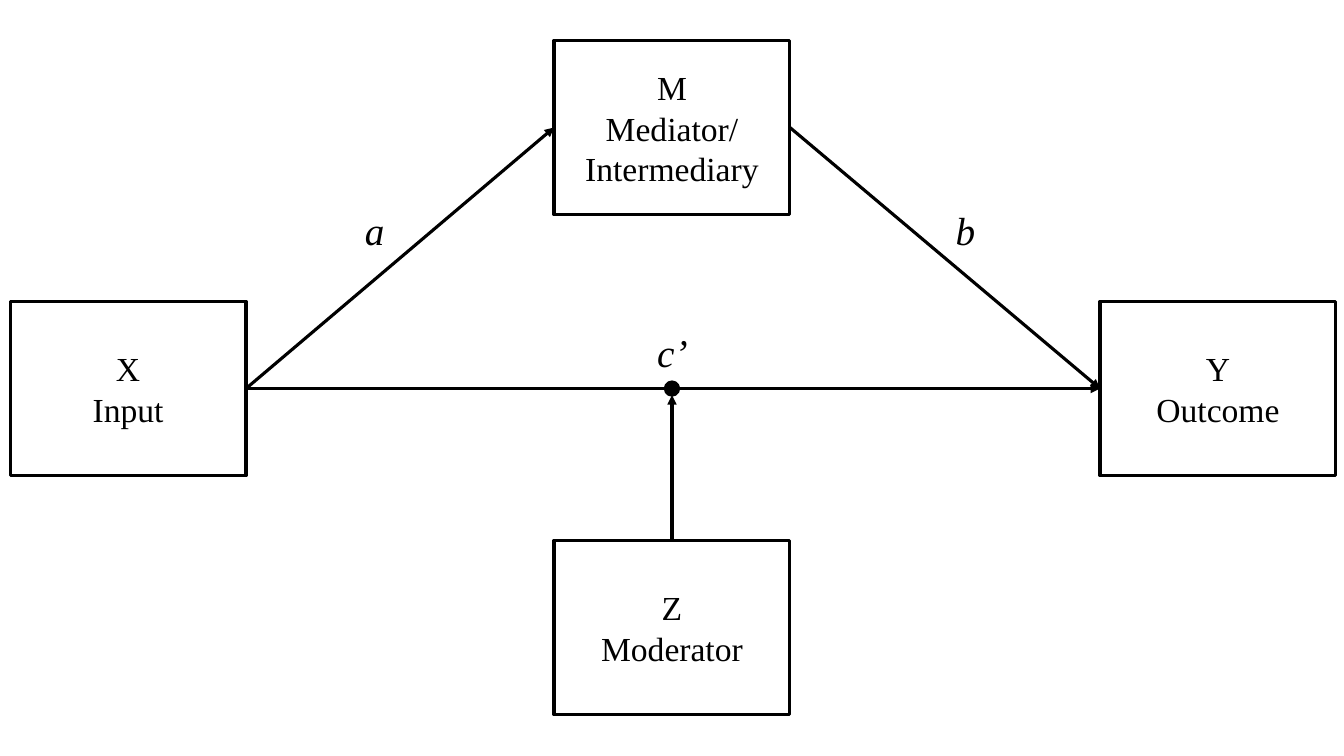
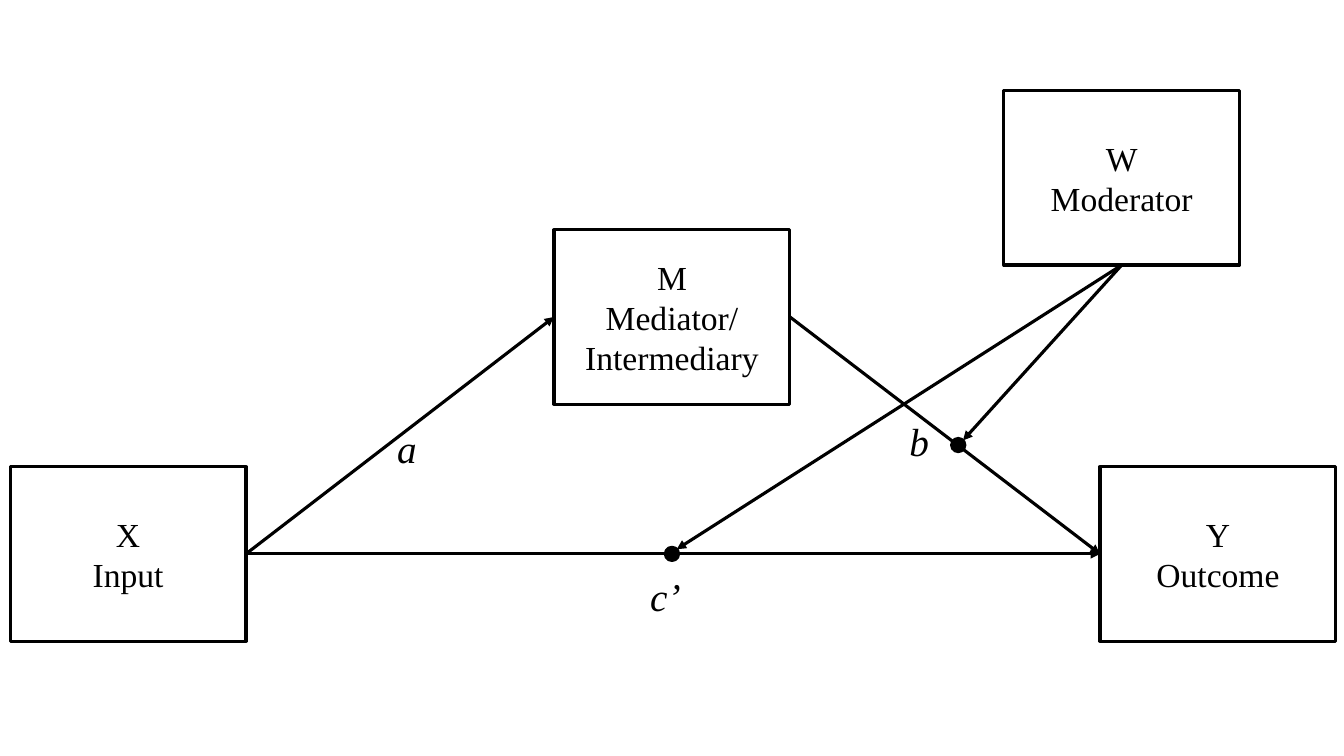
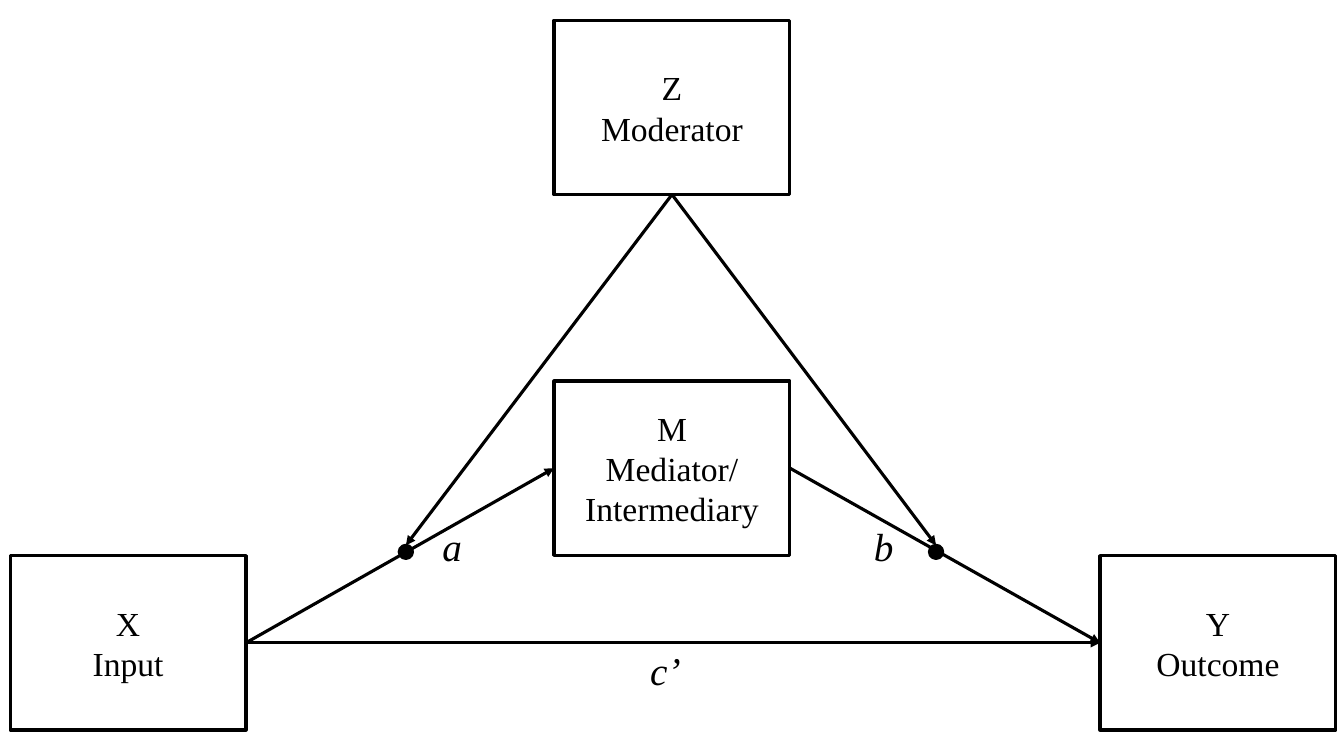
from lxml import etree
from pptx import Presentation
from pptx.dml.color import RGBColor
from pptx.enum.shapes import MSO_CONNECTOR, MSO_SHAPE
from pptx.enum.text import MSO_ANCHOR, MSO_AUTO_SIZE, PP_ALIGN
from pptx.oxml.ns import qn
from pptx.util import Inches, Pt

RECT = MSO_SHAPE.RECTANGLE
OVAL = MSO_SHAPE.OVAL
LINE = MSO_CONNECTOR.STRAIGHT
CENTER = PP_ALIGN.CENTER
MIDDLE = MSO_ANCHOR.MIDDLE
GROW = MSO_AUTO_SIZE.SHAPE_TO_FIT_TEXT
TOP, LEFT, BOTTOM, RIGHT = range(4)


def color(code):
    return RGBColor.from_string(code)


class Deck:
    face = "Times New Roman"
    ink = "000000"
    paper = "FFFFFF"
    stroke = Pt(2.25)
    box_size = (17.55, 23.07)
    dot_size = (0.98, 1.73)
    cols = (9.53, 50, 90.62)

    def __init__(self):
        self.file = Presentation()
        self.file.slide_width = Inches(13.33)
        self.file.slide_height = Inches(7.5)

    def page(self):
        layout = self.file.slide_layouts[6]
        self.slide = self.file.slides.add_slide(layout)

    def at(self, x, y):
        wide, high = self.file.slide_width, self.file.slide_height
        return round(wide * x / 100), round(high * y / 100)

    def style(self, para, size, italic=False):
        font = para.font
        font.name = self.face
        font.size = Pt(size)
        font.italic = italic
        font.color.rgb = color(self.ink)

    def form(self, kind, x, y, size, fill):
        wide, high = size
        place = self.at(x - wide / 2, y - high / 2)
        shape = self.slide.shapes.add_shape(kind, *place, *self.at(wide, high))
        shape.shadow.inherit = False
        shape.fill.solid()
        shape.fill.fore_color.rgb = color(fill)
        shape.line.color.rgb = color(self.ink)
        shape.line.width = self.stroke
        return shape

    def box(self, x, y, *lines):
        shape = self.form(RECT, x, y, self.box_size, self.paper)
        frame = shape.text_frame
        frame.word_wrap = True
        frame.vertical_anchor = MIDDLE
        for i, line in enumerate(lines):
            para = frame.add_paragraph() if i else frame.paragraphs[0]
            para.text = line
            para.alignment = CENTER
            self.style(para, 24)
        return shape

    def dot(self, x, y):
        return self.form(OVAL, x, y, self.dot_size, self.ink)

    def arrow(self, start, side, point=(0, 0), goal=None, end=LEFT):
        link = self.slide.shapes.add_connector(LINE, 0, 0, *self.at(*point))
        link.begin_connect(start, side)
        if goal is not None:
            link.end_connect(goal, end)
        link.line.color.rgb = color(self.ink)
        link.line.width = self.stroke
        stroke = link.line._get_or_add_ln()
        etree.SubElement(stroke, qn("a:tailEnd"), type="triangle")
        etree.SubElement(link._element.spPr, qn("a:effectLst"))

    def label(self, text, x, y):
        wide = 3.38 if len(text) == 1 else 4.28
        text_box = self.slide.shapes.add_textbox(*self.at(x, y), *self.at(wide, 7.6))
        frame = text_box.text_frame
        frame.word_wrap = True
        frame.auto_size = GROW
        para = frame.paragraphs[0]
        para.text = text
        self.style(para, 28, italic=True)

    def model(self, high, low, a, b, c):
        self.page()
        left, mid, right = self.cols
        via = self.box(mid, high, "M", "Mediator/\nIntermediary")
        out = self.box(right, low, "Y", "Outcome")
        source = self.box(left, low, "X", "Input")
        self.arrow(via, RIGHT, goal=out)
        self.arrow(source, RIGHT, goal=via)
        self.arrow(source, RIGHT, goal=out)
        for text, place in (("a", a), ("b", b), ("c’", c)):
            self.label(text, *place)


def main():
    deck = Deck()
    mid = deck.cols[1]

    low = 51.4
    deck.model(16.87, low, (26.41, 26.67), (70.37, 26.67), (48.16, 42.8))
    factor = deck.box(mid, 83, "Z", "Moderator")
    deck.dot(mid, low)
    deck.arrow(factor, TOP, (mid, low + deck.dot_size[1] / 2))

    low = 73.27
    deck.model(41.93, low, (28.81, 55.47), (66.92, 54.53), (47.64, 75.07))
    factor = deck.box(83.46, 23.53, "W", "Moderator")
    for x, y in ((71.3, 58.87), (mid, low)):
        deck.dot(x, y)
        deck.arrow(factor, BOTTOM, (x + 0.35, y - 0.61))

    deck.model(61.93, 85.03, (32.18, 68.4), (64.29, 68.4), (47.64, 84.8))
    factor = deck.box(mid, 14.2, "Z", "Moderator")
    for x in (30.2, 69.65):
        spot = deck.dot(x, 73)
        deck.arrow(factor, BOTTOM, goal=spot, end=TOP)

    deck.file.save("out.pptx")


if __name__ == "__main__":
    main()
